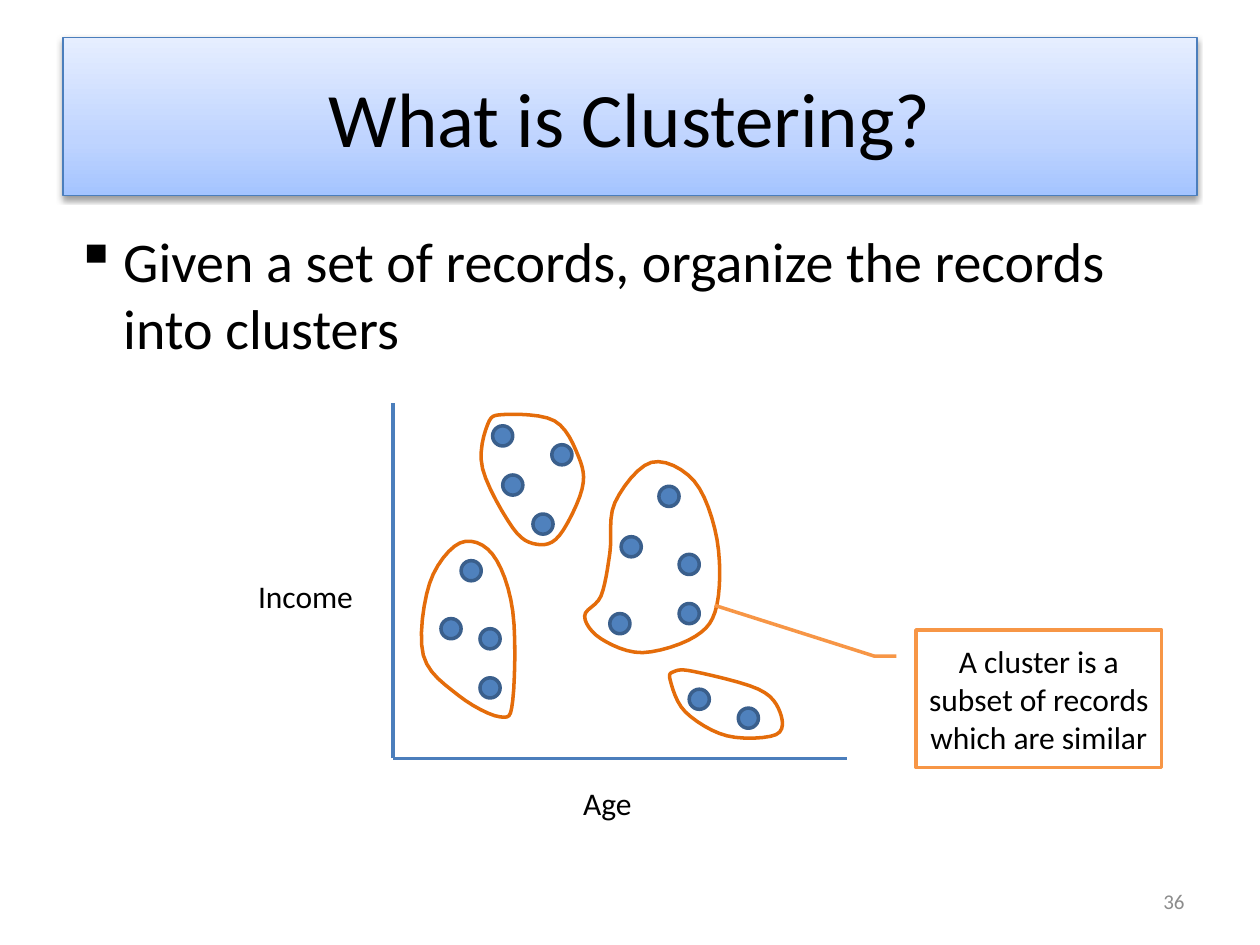
import copy

import pptx
import pptx.dml.color
import pptx.enum.shapes
import pptx.enum.text
import pptx.oxml
import pptx.oxml.ns
import pptx.util

EMU_PER_PX = 9144
SHAPE = pptx.enum.shapes.MSO_SHAPE
ALIGN = pptx.enum.text.PP_ALIGN
ANCHOR = pptx.enum.text.MSO_ANCHOR
qn = pptx.oxml.ns.qn
NAMESPACE = pptx.oxml.ns.nsdecls("a")

DOT_SIZE = 16
CURVE_STEPS = 6
DOTS = [
    (291, 38), (338, 53), (299, 77), (323, 108),
    (266, 145), (250, 191), (281, 199), (281, 238),
    (423, 86), (393, 126), (439, 140), (439, 179), (384, 187),
    (447, 247), (486, 262),
]
CLUSTERS = [
    [(384, 139), (388, 99), (417, 67), (451, 82), (469, 128), (469, 180),
     (452, 205), (410, 218), (377, 207), (364, 189), (377, 173)],
    [(362, 88), (344, 125), (326, 132), (307, 119), (283, 72), (287, 37),
     (300, 29), (340, 34), (359, 62)],
    [(265, 131), (291, 140), (307, 185), (307, 256), (297, 269), (264, 252),
     (236, 220), (241, 163)],
    [(451, 233), (502, 247), (519, 265), (516, 283), (477, 284), (444, 265),
     (432, 240), (435, 233)],
]


def px(length):
    """Turn px into EMU."""
    return pptx.util.Emu(round(length * EMU_PER_PX))


def color(code):
    """Turn a hex string into a colour."""
    return pptx.dml.color.RGBColor.from_string(code)


def smooth(points):
    """Return points along a closed Catmull-Rom curve through the given ones."""
    curve = []
    for index in range(len(points)):
        corners = [points[(index + shift) % len(points)] for shift in (-1, 0, 1, 2)]
        for step in range(CURVE_STEPS):
            t = step / CURVE_STEPS
            curve.append(tuple(
                b + t * (c - a + t * (2 * a - 5 * b + 4 * c - d + t * (3 * (b - c) + d - a))) / 2
                for a, b, c, d in zip(*corners)))
    return curve


def style(shape, line, width, fill=None):
    """Give a shape its outline and fill, without a shadow."""
    shape.shadow.inherit = False
    shape.line.color.rgb = color(line)
    shape.line.width = pptx.util.Pt(width)
    if fill:
        shape.fill.solid()
        shape.fill.fore_color.rgb = color(fill)
    else:
        shape.fill.background()


def write(shape, text, size, align=ALIGN.LEFT, anchor=ANCHOR.TOP, wrap=True, ink="000000"):
    """Write one paragraph into a shape and return it."""
    frame = shape.text_frame
    frame.text = text
    frame.word_wrap = wrap
    frame.vertical_anchor = anchor
    paragraph = frame.paragraphs[0]
    paragraph.alignment = align
    font = paragraph.runs[0].font
    font.name = "Calibri"
    font.size = pptx.util.Pt(size)
    font.color.rgb = color(ink)
    return paragraph


def add_title(slide, box):
    """Draw the shaded title banner."""
    banner = slide.shapes.add_shape(SHAPE.RECTANGLE, *map(px, box))
    style(banner, "4B7EBC", 0.75)
    banner.fill.gradient()
    banner.fill.gradient_angle = 90
    stop_list = banner.element.spPr.find(".//" + qn("a:gsLst"))
    stop_list.insert(1, copy.deepcopy(stop_list[0]))
    shades = [(0, "A4C4FF"), (0.35, "BFD4FF"), (1, "E6EEFF")]
    for stop, (position, shade) in zip(banner.fill.gradient_stops, shades):
        stop.position = position
        stop.color.rgb = color(shade)
    banner.element.spPr.find(qn("a:effectLst")).append(pptx.oxml.parse_xml(
        f'<a:outerShdw {NAMESPACE} blurRad="39370" dist="20320" dir="5400000" rotWithShape="0">'
        '<a:srgbClr val="000000"><a:alpha val="38000"/></a:srgbClr></a:outerShdw>'))
    write(banner, "What is Clustering?", 44, ALIGN.CENTER, ANCHOR.MIDDLE)


def add_body(slide, box):
    """Write the bulleted statement."""
    body = slide.shapes.add_textbox(*map(px, box))
    statement = write(body, "Given a set of records, organize the records into clusters", 32)
    properties = statement._p.get_or_add_pPr()
    properties.set("marL", str(px(38)))
    properties.set("indent", str(-px(38)))
    properties.append(pptx.oxml.parse_xml(f'<a:buChar {NAMESPACE} char="▪"/>'))


def add_scatter(slide, box):
    """Draw the axes, records, cluster outlines and axis labels."""
    left, top, width, height = box
    diagram = slide.shapes.add_group_shape().shapes
    corner = (left + 212, top + height)
    for end in [(corner[0], top + 20), (left + width, corner[1])]:
        axis = diagram.add_connector(
            pptx.enum.shapes.MSO_CONNECTOR.STRAIGHT, *map(px, corner + end))
        axis.line.color.rgb = color("4B7EBC")
        axis.line.width = pptx.util.Pt(2)
        axis.element.spPr.append(pptx.oxml.parse_xml(f"<a:effectLst {NAMESPACE}/>"))
    for x, y in DOTS:
        record = diagram.add_shape(
            SHAPE.FLOWCHART_CONNECTOR, *map(px, (left + x, top + y, DOT_SIZE, DOT_SIZE)))
        style(record, "3A5F8C", 2, "4F81BD")
    for label, x, y, label_width in [("Age", 353, 317, 59), ("Income", 95, 153, 96)]:
        caption = diagram.add_textbox(*map(px, (left + x, top + y, label_width, 40)))
        write(caption, label, 18, wrap=False)
    for cluster in CLUSTERS:
        outline = [(px(x), px(y)) for x, y in smooth(cluster)]
        builder = diagram.build_freeform(*outline[0])
        builder.add_line_segments(outline[1:], close=True)
        style(builder.convert_to_shape(px(left), px(top)), "E46C0A", 2)


def add_callout(slide, box):
    """Draw the note that points at one cluster."""
    note = slide.shapes.add_shape(SHAPE.LINE_CALLOUT_2, *map(px, box))
    for index, value in enumerate([0.19, -0.08, 0.19, -0.17, -0.18, -0.82]):
        note.adjustments[index] = value
    style(note, "F79646", 2, "FFFFFF")
    write(note, "A cluster is a subset of records which are similar", 18, ALIGN.CENTER, ANCHOR.MIDDLE)


def add_page_number(slide, box):
    """Write the slide number."""
    number = slide.shapes.add_textbox(*map(px, box))
    write(number, "36", 12, ALIGN.RIGHT, ANCHOR.MIDDLE, ink="8C8C8C")


def main():
    """Build and save the slide."""
    deck = pptx.Presentation()
    deck.slide_width, deck.slide_height = px(1000), px(750)
    slide = deck.slides.add_slide(deck.slide_layouts[6])
    add_title(slide, (50, 30, 900, 125))
    add_body(slide, (50, 175, 900, 125))
    add_page_number(slide, (717, 695, 233, 40))
    add_scatter(slide, (100, 300, 572, 302))
    add_callout(slide, (727, 500, 195, 109))
    deck.save("out.pptx")


if __name__ == "__main__":
    main()
